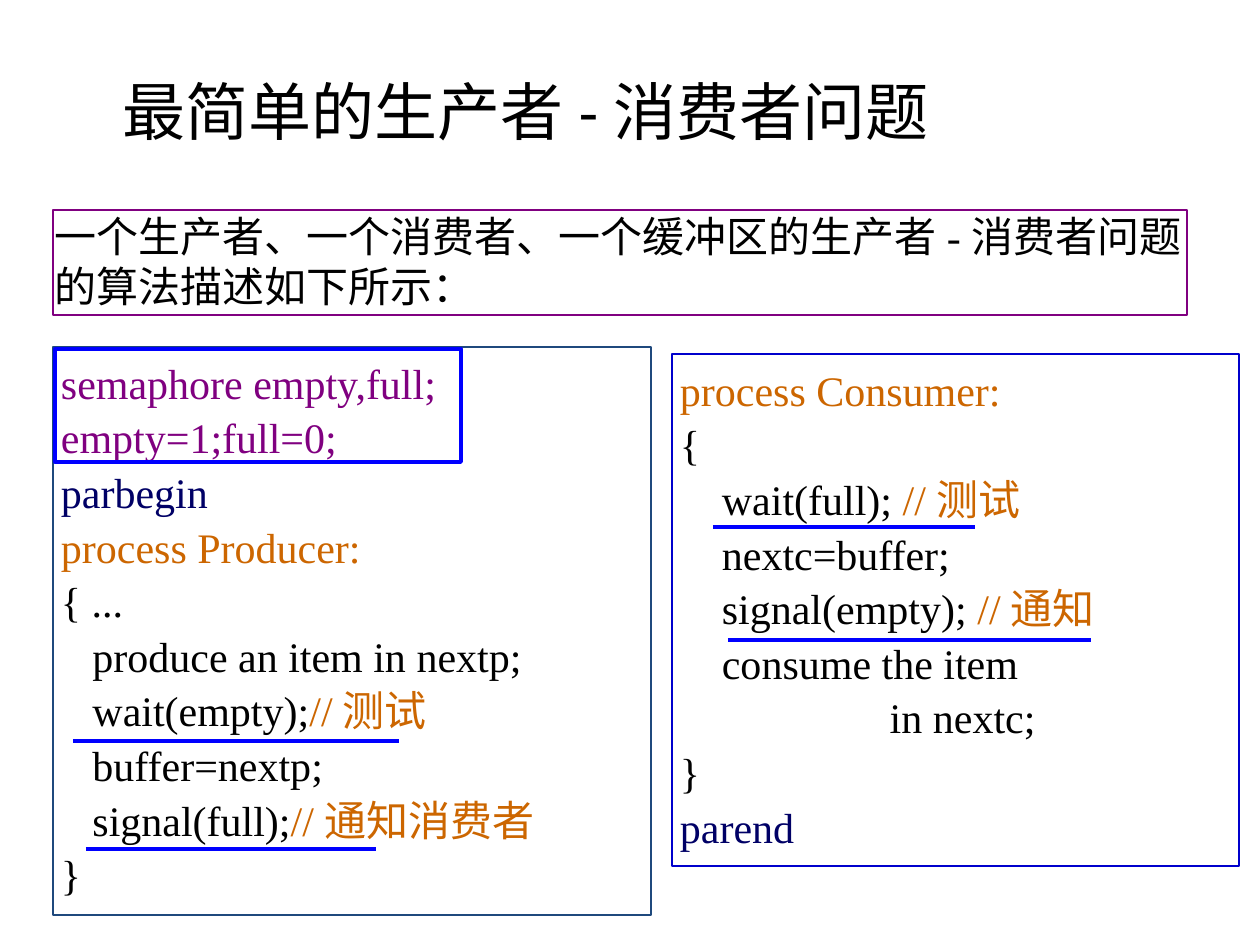
import pptx
import pptx.util
import pptx.dml.color
import pptx.enum.shapes
import pptx.enum.text
import pptx.oxml.ns
import lxml.etree

PX = 914400 / 126

THEME = {
    "title_font": "Calibri", "body_font": "Times New Roman",
    "cjk_font": "Noto Sans CJK SC",
    "title_size": 36, "body_size": 24,
    "intro_pitch": 28.6, "code_pitch": 31.2,
    "thin": 0.75, "thick": 2.25,
    "black": "000000", "purple": "800080", "navy": "000066",
    "orange": "CC6600", "steel": "1F497D", "blue": "0000CC", "mark": "0000FF",
}

TITLE = [("最简单的生产者-消费者问题", "black")]
INTRO = [[("一个生产者、一个消费者、一个缓冲区的生产者-消费者问题的算法描述如下所示：", "black")]]
PRODUCER = [
    [("semaphore empty,full;", "purple")],
    [("empty=1;full=0;", "purple")],
    [("parbegin", "navy")],
    [("process Producer:", "orange")],
    [("{ ...", "black")],
    [("   produce an item in nextp;", "black")],
    [("   wait(empty);", "black"), ("//测试", "orange")],
    [("   buffer=nextp;", "black")],
    [("   signal(full);", "black"), ("//通知消费者", "orange")],
    [("}", "black")],
]
CONSUMER = [
    [("process Consumer:", "orange")],
    [("{", "black")],
    [("    wait(full); ", "black"), ("//测试", "orange")],
    [("    nextc=buffer;", "black")],
    [("    signal(empty); ", "black"), ("//通知", "orange")],
    [("    consume the item", "black")],
    [("                    in nextc;", "black")],
    [("}", "black")],
    [("parend", "navy")],
]

# Left, top, width, height in px
TITLE_AREA = (32, 62, 987, 96)
SEMAPHORE_FRAME = (55, 349, 406, 113)
# Area, paragraphs, line colour, side and top insets, line pitch
PANELS = [
    ((53, 210, 1134, 105), INTRO, "purple", (2, 1), "intro_pitch"),
    ((53, 347, 598, 568), PRODUCER, "steel", (8, 6), "code_pitch"),
    ((672, 354, 567, 512), CONSUMER, "blue", (8, 6), "code_pitch"),
]
# From x, to x, y
UNDERLINES = [(73, 399, 741), (86, 376, 849), (713, 975, 527), (728, 1091, 640)]


def px(*lengths):
    return [pptx.util.Emu(round(length * PX)) for length in lengths]


def color(name):
    return pptx.dml.color.RGBColor.from_string(THEME[name])


def add_spans(para, spans, font, size):
    for text, tint in spans:
        span = para.add_run()
        span.text = text
        span.font.name = font
        span.font.size = pptx.util.Pt(size)
        span.font.color.rgb = color(tint)
        east_asian = lxml.etree.SubElement(
            span.font._element, pptx.oxml.ns.qn("a:ea"))
        east_asian.set("typeface", THEME["cjk_font"])


def add_frame(page, area, tint, weight):
    box = page.shapes.add_shape(
        pptx.enum.shapes.MSO_SHAPE.RECTANGLE, *px(*area))
    box.shadow.inherit = False
    box.fill.background()
    box.line.color.rgb = color(tint)
    box.line.width = pptx.util.Pt(THEME[weight])
    return box


def add_panel(page, area, lines, tint, insets, pitch):
    frame = add_frame(page, area, tint, "thin").text_frame
    frame.word_wrap = True
    frame.auto_size = pptx.enum.text.MSO_AUTO_SIZE.NONE
    frame.vertical_anchor = pptx.enum.text.MSO_ANCHOR.TOP
    side, top = px(*insets)
    frame.margin_left = frame.margin_right = side
    frame.margin_top = frame.margin_bottom = top
    for index, spans in enumerate(lines):
        para = frame.add_paragraph() if index else frame.paragraphs[0]
        para.alignment = pptx.enum.text.PP_ALIGN.LEFT
        para.line_spacing = pptx.util.Pt(THEME[pitch])
        add_spans(para, spans, THEME["body_font"], THEME["body_size"])


def add_underline(page, start, end, y):
    line = page.shapes.add_connector(
        pptx.enum.shapes.MSO_CONNECTOR.STRAIGHT, *px(start, y, end, y))
    line.line.color.rgb = color("mark")
    line.line.width = pptx.util.Pt(THEME["thick"])
    lxml.etree.SubElement(
        line._element.spPr, pptx.oxml.ns.qn("a:effectLst"))


def set_title(page):
    title = page.shapes.title
    title.left, title.top, title.width, title.height = px(*TITLE_AREA)
    frame = title.text_frame
    frame.auto_size = pptx.enum.text.MSO_AUTO_SIZE.NONE
    frame.vertical_anchor = pptx.enum.text.MSO_ANCHOR.MIDDLE
    para = frame.paragraphs[0]
    para.alignment = pptx.enum.text.PP_ALIGN.CENTER
    add_spans(para, TITLE, THEME["title_font"], THEME["title_size"])


def main():
    deck = pptx.Presentation()
    deck.slide_width, deck.slide_height = px(1260, 945)
    page = deck.slides.add_slide(deck.slide_layouts.get_by_name("Title Only"))
    set_title(page)
    for panel in PANELS:
        add_panel(page, *panel)
    add_frame(page, SEMAPHORE_FRAME, "mark", "thick")
    for underline in UNDERLINES:
        add_underline(page, *underline)
    deck.save("out.pptx")


if __name__ == "__main__":
    main()
